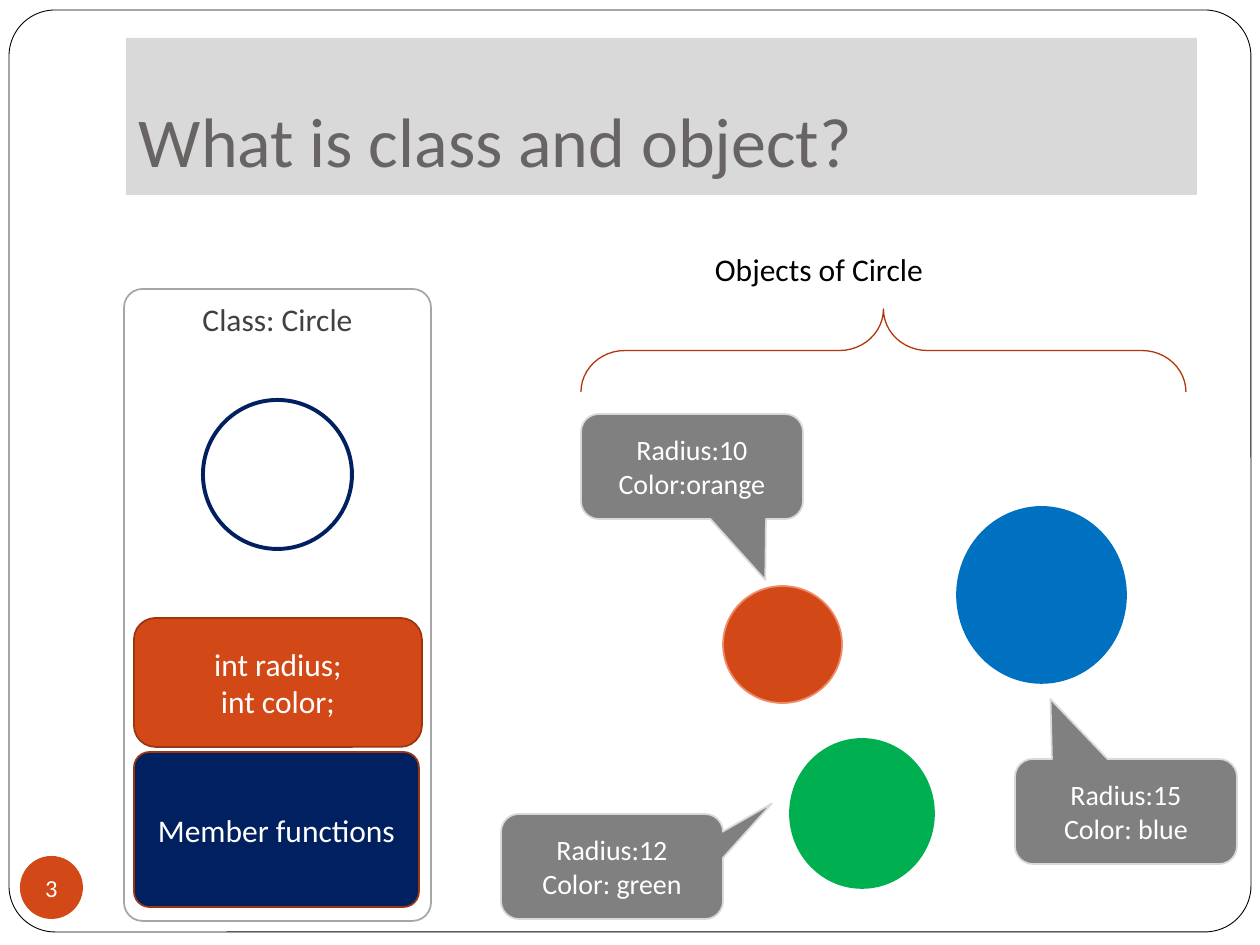
from dataclasses import dataclass
from typing import Optional

import pptx
import pptx.dml.color
import pptx.enum.shapes
import pptx.enum.text
import pptx.util

EMU_PER_PX = 914400 / 126
FONT = "Calibri"
WHITE = "FFFFFF"
ORANGE = "D34817"
NAVY = "002060"
RUST = "9C3511"
Geometry = pptx.enum.shapes.MSO_SHAPE
Anchor = pptx.enum.text.MSO_ANCHOR
Align = pptx.enum.text.PP_ALIGN


@dataclass(frozen=True)
class Box:
    left: int
    top: int
    width: int
    height: int


@dataclass(frozen=True)
class CircleObject:
    box: Box
    fill: str
    line: str
    label: str
    label_left: int
    label_top: int
    pointer: tuple[float, float]


def px(length: int) -> int:
    return round(length * EMU_PER_PX)


def edges(box: Box) -> tuple[int, int, int, int]:
    return px(box.left), px(box.top), px(box.width), px(box.height)


def color(value: str) -> pptx.dml.color.RGBColor:
    return pptx.dml.color.RGBColor.from_string(value)


def write(shape, text: str, *, size: int, ink: str = WHITE,
          align=Align.CENTER, anchor=Anchor.MIDDLE, wrap: bool = True,
          insets: tuple[int, int, int, int] = (13, 6, 13, 6)) -> None:
    frame = shape.text_frame
    frame.auto_size = pptx.enum.text.MSO_AUTO_SIZE.NONE
    frame.word_wrap = wrap
    frame.vertical_anchor = anchor
    (frame.margin_left, frame.margin_top,
     frame.margin_right, frame.margin_bottom) = map(px, insets)
    frame.text = text
    for paragraph in frame.paragraphs:
        paragraph.alignment = align
        for run in paragraph.runs:
            run.font.name = FONT
            run.font.size = pptx.util.Pt(size)
            run.font.color.rgb = color(ink)


def draw(slide, geometry, box: Box, *, fill: Optional[str] = None,
         line: Optional[str] = None, weight: float = 1,
         adjust: tuple[float, ...] = ()):
    shape = slide.shapes.add_shape(geometry, *edges(box))
    shape.shadow.inherit = False
    if fill:
        shape.fill.solid()
        shape.fill.fore_color.rgb = color(fill)
    else:
        shape.fill.background()
    if line:
        shape.line.color.rgb = color(line)
        shape.line.width = pptx.util.Pt(weight)
    else:
        shape.line.fill.background()
    for index, value in enumerate(adjust):
        shape.adjustments[index] = value
    return shape


def draw_title(slide) -> None:
    title = slide.shapes.title
    title.left, title.top, title.width, title.height = edges(Box(126, 38, 1071, 157))
    title.fill.solid()
    title.fill.fore_color.rgb = color("D9D9D9")
    write(title, "What is class and object?", size=40, ink="696464",
          align=Align.LEFT, anchor=Anchor.BOTTOM, insets=(13, 6, 13, 13))


def draw_class(slide) -> None:
    class_card = draw(slide, Geometry.ROUNDED_RECTANGLE, Box(124, 289, 307, 632),
                      line="A6A6A6", adjust=(0.06,))
    write(class_card, "Class: Circle", size=18, ink="404040", anchor=Anchor.TOP)
    fields = draw(slide, Geometry.ROUNDED_RECTANGLE, Box(134, 618, 288, 129),
                  fill=ORANGE, line=RUST)
    write(fields, "int radius;\nint color;", size=18)
    functions = draw(slide, Geometry.ROUNDED_RECTANGLE, Box(134, 752, 285, 155),
                     fill=NAVY, line=RUST, adjust=(0.1,))
    write(functions, "Member functions", size=18)
    draw(slide, Geometry.OVAL, Box(203, 400, 149, 149), line=NAVY, weight=2.25)


def draw_object(slide, item: CircleObject) -> None:
    draw(slide, Geometry.OVAL, item.box, fill=item.fill, line=item.line)
    callout = draw(slide, Geometry.ROUNDED_RECTANGULAR_CALLOUT,
                   Box(item.label_left, item.label_top, 222, 105),
                   fill="808080", line="D9D9D9", adjust=(*item.pointer, 0.17))
    write(callout, item.label, size=16)


def draw_objects_heading(slide) -> None:
    brace = draw(slide, Geometry.RIGHT_BRACE, Box(842, 48, 83, 605),
                 line="B1360B", weight=0.75, adjust=(0.53, 0.5))
    brace.rotation = 270
    heading = slide.shapes.add_textbox(*edges(Box(702, 244, 364, 63)))
    write(heading, "Objects of Circle", size=18, ink="000000",
          align=Align.LEFT, anchor=Anchor.TOP)


def main() -> None:
    deck = pptx.Presentation()
    deck.slide_width, deck.slide_height = px(1260), px(945)
    slide = deck.slides.add_slide(deck.slide_layouts.get_by_name("Title Only"))

    draw(slide, Geometry.ROUNDED_RECTANGLE, Box(9, 10, 1242, 922),
         line="000000", weight=0.5, adjust=(0.05,))
    draw_title(slide)
    draw_class(slide)
    circle_objects = (
        CircleObject(Box(723, 586, 119, 117), ORANGE, "EF8C6A",
                     "Radius:10\nColor:orange", 581, 414, (0.33, 1.08)),
        CircleObject(Box(957, 507, 169, 176), "0070C0", "0070C0",
                     "Radius:15\nColor: blue", 1015, 759, (-0.34, -1.07)),
        CircleObject(Box(790, 739, 144, 149), "00B050", "00B050",
                     "Radius:12\nColor: green", 501, 814, (0.72, -0.6)),
    )
    for item in circle_objects:
        draw_object(slide, item)
    draw_objects_heading(slide)
    page_number = draw(slide, Geometry.OVAL, Box(20, 856, 63, 63), fill=ORANGE)
    write(page_number, "3", size=14, wrap=False, insets=(0, 0, 0, 0))
    deck.save("out.pptx")


if __name__ == "__main__":
    main()
